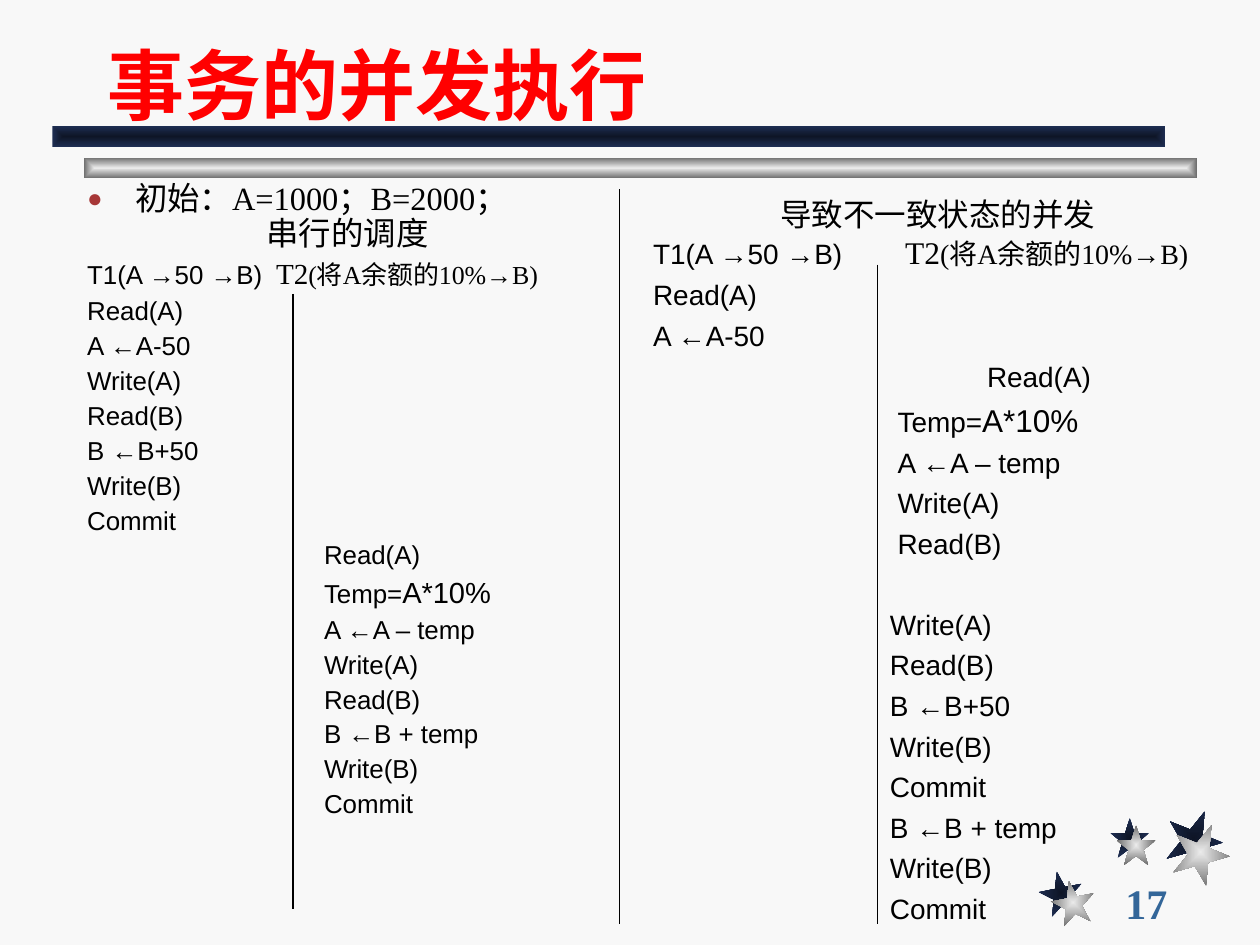
import math
from typing import NamedTuple

from lxml import etree
from pptx import Presentation
from pptx.dml.color import RGBColor
from pptx.enum import shapes as kinds, text as txt
from pptx.oxml import ns
from pptx.util import Inches, Pt

# The slide is a grid of 120 columns by 90 rows
CELL = Inches(1) / 12
NAVY = ("0E1526", "1E2E53")
SILVER = ("EAEAEA", "6C6C6C")
ARIAL, TIMES = "Arial", "Times New Roman"


class Box(NamedTuple):
    col: float
    row: float
    wide: float
    high: float


class Run(NamedTuple):
    text: str
    size: float
    font: str = ARIAL
    color: str = "000000"
    bold: bool = False


class Para(NamedTuple):
    runs: list[Run]
    before: float = 4
    left: float = 0
    align: str = "LEFT"
    tab: float = 0
    bullet: bool = False


class Star(NamedTuple):
    navy: Box
    silver: Box
    turn: float


def grid(*cells: float) -> list[int]:
    return [round(cell * CELL) for cell in cells]


def rgb(code: str) -> RGBColor:
    return RGBColor.from_string(code)


def node(parent, tag: str, **attrs: str):
    return etree.SubElement(parent, ns.qn(tag), attrs)


# Shapes
def shade(shape, tones: tuple[str, str]) -> None:
    """Fill from the centre to the edges, with no outline."""
    shape.shadow.inherit = False
    shape.line.fill.background()
    shape.fill.gradient()
    for stop, tone in zip(shape.fill.gradient_stops, tones):
        stop.color.rgb = rgb(tone)
    grad = shape._element.spPr.find(ns.qn("a:gradFill"))
    grad.remove(grad.find(ns.qn("a:lin")))
    way = node(grad, "a:path", path="rect")
    node(way, "a:fillToRect", **dict.fromkeys("ltrb", "50000"))


def star(slide, box: Box, turn: float, tones: tuple[str, str]) -> None:
    dots = []
    for i in range(10):
        reach = 0.382 if i % 2 else 1
        angle = math.radians(36 * i)
        dots.append((reach * math.sin(angle), -reach * math.cos(angle)))
    span = 2 * math.sin(math.radians(72))
    tall = 1 + math.cos(math.radians(36))
    ends = [grid(box.col + (x / span + 0.5) * box.wide,
                 box.row + (y + 1) / tall * box.high) for x, y in dots]
    pen = slide.shapes.build_freeform(*ends[0])
    pen.add_line_segments(ends[1:], close=True)
    shape = pen.convert_to_shape()
    shape.rotation = turn
    shade(shape, tones)


def rule(slide, col: float, top: float, end: float) -> None:
    line = slide.shapes.add_connector(
        kinds.MSO_CONNECTOR.STRAIGHT, *grid(col, top, col, end))
    line.line.color.rgb = rgb("000000")
    line.line.width = Pt(0.75)
    node(line._element.spPr, "a:effectLst")


# Text
def place(shape, box: Box) -> None:
    for name, value in zip(("left", "top", "width", "height"), grid(*box)):
        setattr(shape, name, value)


def write(shape, paras: list[Para], anchor: str = "TOP", pitch: float = 1) -> None:
    frame = shape.text_frame
    look = {"word_wrap": True, "auto_size": txt.MSO_AUTO_SIZE.NONE,
            "vertical_anchor": txt.MSO_ANCHOR[anchor]}
    for name, value in look.items():
        setattr(frame, name, value)
    for i, para in enumerate(paras):
        line = frame.paragraphs[0] if i == 0 else frame.add_paragraph()
        props = line._p.get_or_add_pPr()
        props.set("marL", str(Inches(para.left)))
        props.set("indent", str(-Inches(para.left) if para.bullet else 0))
        if para.bullet:
            node(node(props, "a:buClr"), "a:srgbClr", val="A73737")
            node(props, "a:buSzPct", val="80000")
            node(props, "a:buChar", char="●")
        else:
            node(props, "a:buNone")
        if para.tab:
            node(node(props, "a:tabLst"), "a:tab", pos=str(Inches(para.tab)), algn="l")
        form = {"alignment": txt.PP_ALIGN[para.align], "line_spacing": pitch,
                "space_before": Pt(para.before if i else 0), "space_after": Pt(0)}
        for name, value in form.items():
            setattr(line, name, value)
        for run in para.runs:
            part = line.add_run()
            part.text = run.text
            style = {"size": Pt(run.size), "name": run.font, "bold": run.bold}
            for name, value in style.items():
                setattr(part.font, name, value)
            part.font.color.rgb = rgb(run.color)


def head(size: float, big: float, tab: float, before: float) -> Para:
    return Para([Run("T1(A →50 →B)\t", size), Run("T2", big, TIMES),
                 Run("(将A余额的10%→B)", size, TIMES)], before, tab=tab)


def steps(lines: list[str], size: float, left: float = 0) -> list[Para]:
    return [Para([Run(line, size)], left=left) for line in lines]


def temp(size: float, big: float, left: float) -> Para:
    return Para([Run("Temp=", size), Run("A*10%", big)], 4.5, left)


deck = Presentation()
deck.slide_width, deck.slide_height = grid(120, 90)
slide = deck.slides.add_slide(deck.slide_layouts[3])
slide.background.fill.solid()
slide.background.fill.fore_color.rgb = rgb("F8F8F8")
title, serial, mixed = slide.placeholders

# Star pairs and double bar
STARS = [Star(Box(99, 83, 4.1, 4.1), Box(100.15, 83.9, 4.1, 4.1), 349),
         Star(Box(105.75, 77.9, 3.7, 3.8), Box(106.35, 78.6, 3.7, 3.8), 0),
         Star(Box(111, 77.1, 5.4, 5.5), Box(111.65, 78.4, 5.4, 5.5), 22)]
for pair in STARS:
    star(slide, pair.navy, pair.turn, NAVY)
    star(slide, pair.silver, pair.turn, SILVER)
for box, tones in ((Box(8, 15, 106, 2), SILVER), (Box(5, 12, 106, 2), NAVY)):
    shade(slide.shapes.add_shape(kinds.MSO_SHAPE.RECTANGLE, *grid(*box)), tones)

# Title and page number
place(title, Box(9, 2, 102, 11))
write(title, [Para([Run("事务的并发执行", 44, color="FF0000", bold=True)])], "BOTTOM")
page = slide.shapes.add_textbox(*grid(106, 84, 13, 4))
write(page, [Para([Run("17", 24, TIMES, "336699", True)])], "MIDDLE")

# Serial schedule
place(serial, Box(7.1, 16.8, 52, 71.2))
write(serial, [
    Para([Run("初始：A=1000；B=2000；", 18.5, TIMES)], left=0.38, bullet=True),
    Para([Run("串行的调度", 18.5)], 0, align="CENTER"),
    head(14.8, 16.6, 1.7, 4),
    *steps(["Read(A)", "A ←A-50", "Write(A)", "Read(B)", "B ←B+50",
            "Write(B)", "Commit"], 14.8),
    *steps(["Read(A)"], 14.8, 1.88),
    temp(14.8, 16.6, 1.88),
    *steps(["A ←A – temp", "Write(A)", "Read(B)", "B ←B + temp",
            "Write(B)", "Commit"], 14.8, 1.88),
], pitch=0.9)

# Interleaved schedule
place(mixed, Box(61, 18, 56.6, 70))
late = steps(["Write(A)", "Read(B)", "B ←B+50", "Write(B)", "Commit",
              "B ←B + temp", "Write(B)", "Commit"], 16, 1.88)
late[0] = late[0]._replace(before=27)
write(mixed, [
    Para([Run("导致不一致状态的并发", 18)], align="CENTER"),
    head(16, 18, 1.89, 0),
    *steps(["Read(A)", "A ←A-50"], 16),
    *steps(["Read(A)"], 16, 2.65),
    temp(16, 18, 1.94),
    *steps(["A ←A – temp", "Write(A)", "Read(B)"], 16, 1.94),
    *late,
])

# Column rules
for col, top, end in ((59, 18, 88), (27.9, 28, 86.6), (83.6, 25.2, 88)):
    rule(slide, col, top, end)

deck.save("out.pptx")
